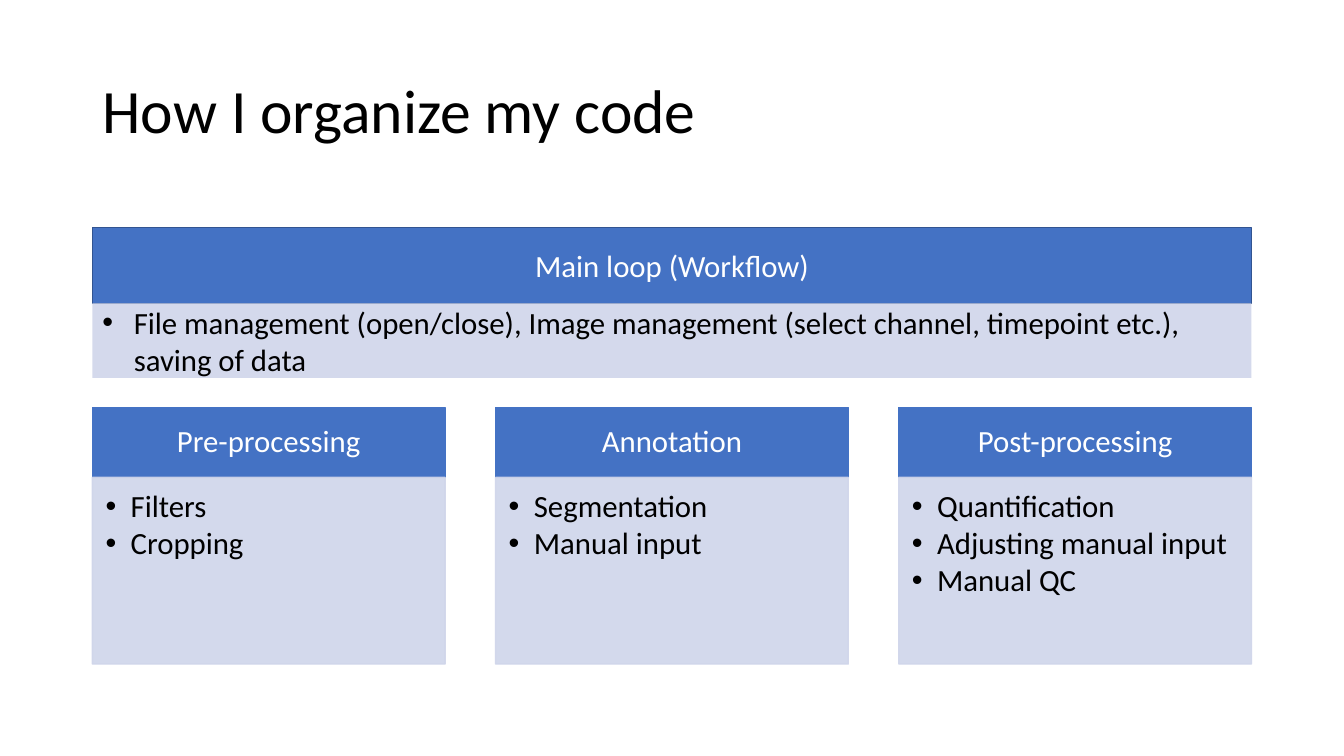
from lxml import etree
from pptx import Presentation
from pptx.dml.color import RGBColor
from pptx.enum import shapes, text
from pptx.oxml import ns
from pptx.util import Pt

HUES = {
    "blue": "4472C4",
    "edge": "325491",
    "pale": "CFD5EA",
    "mist": "D4D9EC",
    "white": "FFFFFF",
    "black": "000000",
}
LEFT, WIDTH = 66, 828
STEPS = [
    ("Pre-processing", ["Filters", "Cropping"]),
    ("Annotation", ["Segmentation", "Manual input"]),
    ("Post-processing", ["Quantification", "Adjusting manual input", "Manual QC"]),
]


def hue(name):
    return RGBColor.from_string(HUES[name])


def write(frame, lines, size=22, color="black", align="LEFT", anchor="MIDDLE",
          pads=(7.2, 3.6, 7.2, 3.6), lead=0.9, after=0, hang=0):
    frame.word_wrap = True
    frame.auto_size = text.MSO_AUTO_SIZE.NONE
    frame.vertical_anchor = text.MSO_ANCHOR[anchor]
    frame.margin_left, frame.margin_top, frame.margin_right, frame.margin_bottom = map(Pt, pads)
    for i, line in enumerate(lines):
        para = frame.add_paragraph() if i else frame.paragraphs[0]
        para.alignment = text.PP_ALIGN[align]
        para.line_spacing = lead
        para.space_after = Pt(after)
        run = para.add_run()
        run.text = line
        run.font.name = "Calibri"
        run.font.size = Pt(size)
        run.font.color.rgb = hue(color)
        if hang:
            bullet(para, hang)


def bullet(para, hang):
    props = para._p.get_or_add_pPr()
    props.set("marL", str(Pt(hang)))
    props.set("indent", str(-Pt(hang)))
    etree.SubElement(props, ns.qn("a:buFont")).set("typeface", "Arial")
    etree.SubElement(props, ns.qn("a:buChar")).set("char", "•")


def fade(shape, share):
    for tint in shape._element.spPr.iter(ns.qn("a:srgbClr")):
        etree.SubElement(tint, ns.qn("a:alpha")).set("val", str(share * 1000))


def box(slide, place, fill, line=None):
    shape = slide.shapes.add_shape(shapes.MSO_SHAPE.RECTANGLE, *map(Pt, place))
    shape.shadow.inherit = False
    shape.fill.solid()
    shape.fill.fore_color.rgb = hue(fill)
    if line:
        shape.line.color.rgb = hue(line)
        shape.line.width = Pt(1)
    else:
        shape.line.fill.background()
    return shape


def title(slide, words):
    head = slide.shapes.title
    head.left, head.top, head.width, head.height = map(Pt, (LEFT, 28.75, WIDTH, 104.4))
    write(head.text_frame, [words], size=44)


def loop(slide):
    head = box(slide, (LEFT, 162.7, WIDTH, 54), "blue", "edge")
    write(head.text_frame, ["Main loop (Workflow)"], color="white", align="CENTER", lead=1)
    body = box(slide, (LEFT, 216.7, WIDTH, 53.3), "mist")
    note = ("File management (open/close), Image management "
            "(select channel, timepoint etc.), saving of data")
    write(body.text_frame, [note], lead=1, hang=22.5)


def step(slide, left, width, name, items):
    head = box(slide, (left, 291, width, 50), "blue", "blue")
    write(head.text_frame, [name], color="white", align="CENTER", pads=(12.3, 7, 12.3, 7))
    body = box(slide, (left, 341, width, 133.3), "pale", "pale")
    fade(body, 90)
    write(body.text_frame, items, anchor="TOP", pads=(9.4, 9.4, 12.3, 13.7), after=2.7, hang=18)


def main():
    deck = Presentation()
    deck.slide_width, deck.slide_height = Pt(960), Pt(540)
    slide = deck.slides.add_slide(deck.slide_layouts[5])
    title(slide, "How I organize my code")
    width = 252
    pitch = (WIDTH - width) / (len(STEPS) - 1)
    for i, (name, items) in enumerate(STEPS):
        step(slide, LEFT + i * pitch, width, name, items)
    loop(slide)
    deck.save("out.pptx")


if __name__ == "__main__":
    main()
